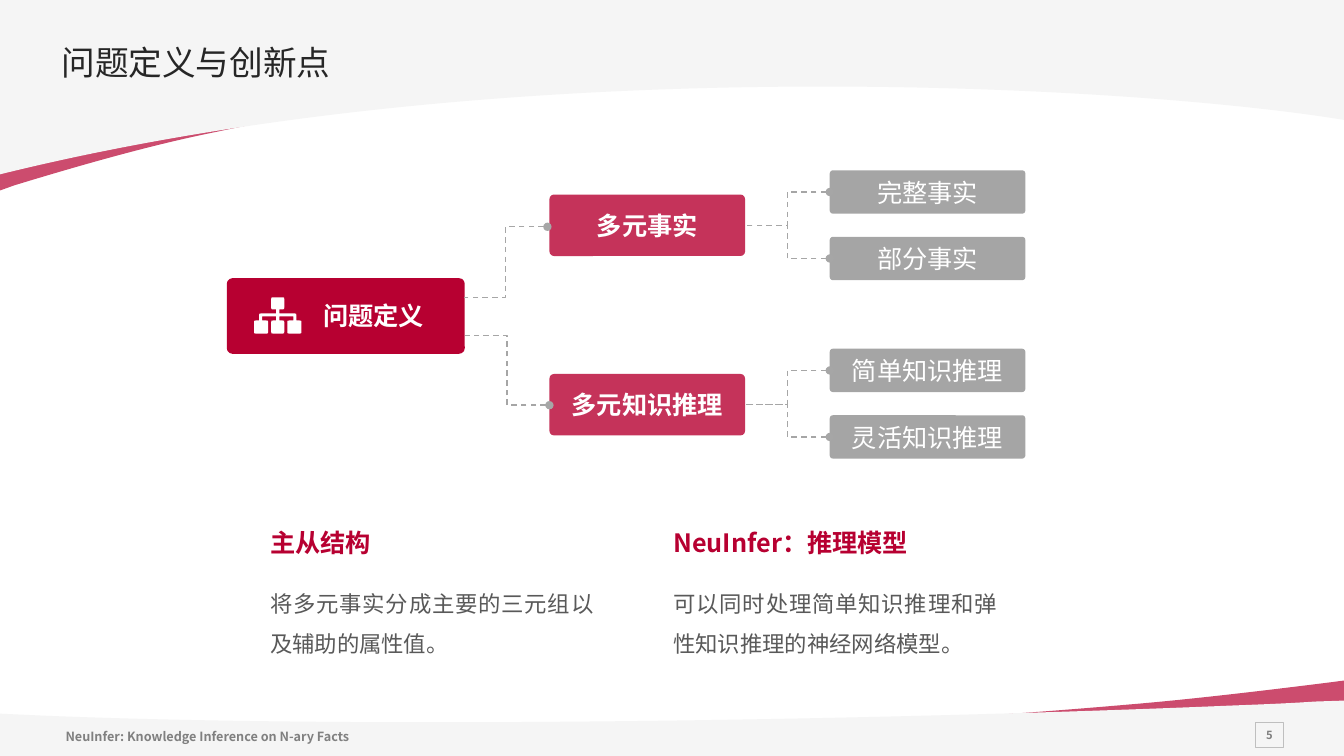
from dataclasses import dataclass, field
from math import dist

from lxml import etree
from pptx import Presentation
from pptx.dml.color import RGBColor
from pptx.enum.dml import MSO_LINE
from pptx.enum.shapes import MSO_CONNECTOR, MSO_SHAPE
from pptx.enum.text import MSO_ANCHOR, MSO_AUTO_SIZE, PP_ALIGN
from pptx.oxml.ns import qn
from pptx.util import Inches, Pt

RECTANGLE, ROUNDED = MSO_SHAPE.RECTANGLE, MSO_SHAPE.ROUNDED_RECTANGLE
ELBOW, DASH = MSO_CONNECTOR.ELBOW, MSO_LINE.DASH
TOP, MIDDLE = MSO_ANCHOR.TOP, MSO_ANCHOR.MIDDLE
LEFT, CENTER, JUSTIFY = PP_ALIGN.LEFT, PP_ALIGN.CENTER, PP_ALIGN.JUSTIFY
GROW = MSO_AUTO_SIZE.SHAPE_TO_FIT_TEXT

FONT = "Noto Sans CJK SC"
COLORS = {"red": "B70031", "gray": "808080", "band": "F5F5F5", "white": "FFFFFF",
          "title": "262626", "body": "595959", "line": "A6A6A6", "border": "BFBFBF"}

Point = tuple[float, float]


@dataclass
class TextStyle:
    size: float
    color: str
    bold: bool = False
    margins: tuple[float, float, float, float] = (0.1, 0.05, 0.1, 0.05)
    frame: dict = field(default_factory=dict)
    paragraph: dict = field(default_factory=dict)


@dataclass
class Box:
    text: str
    left: float
    top: float
    width: float
    height: float
    color: str = ""
    alpha: int = 100

    @property
    def middle(self) -> float:
        return self.top + self.height / 2


@dataclass
class Outline:
    color: str
    alpha: int
    start: Point
    steps: list  # one point is a straight side, three are a curve


LABEL_MARGINS = (0.2, 0.1, 0.2, 0.1)
CENTERED = {"frame": {"vertical_anchor": MIDDLE, "word_wrap": True},
            "paragraph": {"alignment": CENTER}}
FITTED = {"word_wrap": False, "auto_size": GROW}
STYLES = {
    "title": TextStyle(24, "title", margins=(0.08, 0.08, 0, 0.08),
                       paragraph={"line_spacing": 0.9}),
    "topic": TextStyle(18, "white", True, LABEL_MARGINS, **CENTERED),
    "leaf": TextStyle(18, "white", False, LABEL_MARGINS, **CENTERED),
    "heading": TextStyle(18, "red", True, frame=FITTED | {"vertical_anchor": MIDDLE},
                         paragraph={"line_spacing": Pt(15)}),
    "body": TextStyle(16, "body", paragraph={"alignment": JUSTIFY, "line_spacing": 1.5}),
    "footer": TextStyle(9, "gray", True, (0, 0.05, 0.1, 0.05), FITTED),
    "number": TextStyle(8, "gray", True, (0.08,) * 4, **CENTERED),
}

BANDS = [
    Outline("red", 70, (0, 1.89), [
        [(0, 0.22)], [(13.34, 0.22)], [(13.34, 0.91)], [(13.33, 0.91)],
        [(10.32, 0.06), (5.14, 0.67), (2.14, 1.31)],
        [(1.54, 1.43), (0.86, 1.62), (0.14, 1.84)]]),
    Outline("band", 100, (0, 0), [
        [(13.33, 0)], [(13.33, 1.19)], [(11.4, 0.87), (5.17, 0.45), (0, 1.73)]]),
    Outline("red", 70, (13.34, 6.75), [
        [(13.34, 7.44)], [(0, 7.44)], [(0, 7.15)], [(0.01, 7.16)],
        [(3.01, 7.5), (8.2, 7.25), (11.19, 6.99)],
        [(11.79, 6.94), (12.47, 6.86), (13.19, 6.77)]]),
    Outline("band", 100, (13.34, 6.95), [
        [(13.34, 7.5)], [(0, 7.5)], [(0, 7.08)], [(0.44, 7.1)],
        [(3.92, 7.24), (9.1, 7.13), (12.2, 7)],
        [(12.46, 6.99), (12.75, 6.98), (13.04, 6.96)]]),
]

ROOT = Box("", 2.25, 2.76, 2.36, 0.75, "red")
TOPICS = [Box(text, 5.45, top, 1.94, 0.61, "red", 80)
          for text, top in [("多元事实", 1.93), ("多元知识推理", 3.71)]]
ROOT_LINKS = [((5.43, 2.25), (4.6, 2.95)), ((5.45, 4.02), (4.61, 3.33))]
LEAVES = [[Box(text, 8.23, top + 0.66 * row, 1.94, 0.43, "gray", 70)
           for row, text in enumerate(texts)]
          for top, texts in [(1.69, ("完整事实", "部分事实")),
                             (3.46, ("简单知识推理", "灵活知识推理"))]]
NOTES = [(2.58, 1.21, "主从结构", "将多元事实分成主要的三元组以及辅助的属性值。"),
         (6.58, 2.67, "NeuInfer：推理模型", "可以同时处理简单知识推理和弹性知识推理的神经网络模型。")]

# Right half of the tree icon, as distances from its middle axis
ICON_AXIS = 2.755
ICON_HALF = [(0.065, 2.95), (0.065, 3.07), (0.015, 3.07), (0.015, 3.11), (0.185, 3.11),
             (0.185, 3.18), (0.235, 3.18), (0.235, 3.31), (0.095, 3.31), (0.095, 3.18),
             (0.155, 3.18), (0.155, 3.14), (0.015, 3.14), (0.015, 3.18), (0.065, 3.18),
             (0.065, 3.31)]


def paint(shape, color: str, alpha: int = 100) -> None:
    shape.shadow.inherit = False
    shape.line.fill.background()
    shape.fill.solid()
    shape.fill.fore_color.rgb = RGBColor.from_string(COLORS[color])
    if alpha < 100:
        color_element = shape.fill._xPr.find(qn("a:solidFill"))[0]
        etree.SubElement(color_element, qn("a:alpha"), val=str(alpha * 1000))


def write(shape, text: str, style: TextStyle) -> None:
    frame = shape.text_frame
    margins = zip(("left", "top", "right", "bottom"), style.margins)
    settings = {f"margin_{side}": Inches(value) for side, value in margins}
    settings |= {"word_wrap": True, "vertical_anchor": TOP} | style.frame
    paragraph = frame.paragraphs[0]
    run = paragraph.add_run()
    run.text = text
    font_settings = {"size": Pt(style.size), "bold": style.bold, "name": FONT}
    for target, values in ((frame, settings),
                           (paragraph, {"alignment": LEFT} | style.paragraph),
                           (run.font, font_settings)):
        for name, value in values.items():
            setattr(target, name, value)
    run.font.color.rgb = RGBColor.from_string(COLORS[style.color])
    etree.SubElement(run.font._element, qn("a:ea"), typeface=FONT)


def add_text(slide, box: Box, style: str) -> None:
    shape = slide.shapes.add_textbox(*map(Inches, (box.left, box.top, box.width, box.height)))
    write(shape, box.text, STYLES[style])


def add_box(slide, box: Box, style: str, preset=ROUNDED):
    shape = slide.shapes.add_shape(
        preset, *map(Inches, (box.left, box.top, box.width, box.height)))
    if preset == ROUNDED:
        shape.adjustments[0] = 0.073
    paint(shape, box.color or "white", box.alpha)
    if box.text:
        write(shape, box.text, STYLES[style])
    return shape


def add_outline(slide, outline: Outline) -> None:
    builder = slide.shapes.build_freeform(*map(Inches, outline.start), scale=1.0)
    builder.add_line_segments([tuple(map(Inches, step[-1])) for step in outline.steps])
    shape = builder.convert_to_shape()
    # Turn the sides that have control points into curves
    sides = list(shape._element.iter(qn("a:lnTo")))
    for side, step in zip(sides, outline.steps):
        if len(step) == 3:
            side.tag = qn("a:cubicBezTo")
            for index, (x, y) in enumerate(step[:2]):
                control = etree.Element(qn("a:pt"), x=str(Inches(x) - shape.left),
                                        y=str(Inches(y) - shape.top))
                side.insert(index, control)
    paint(shape, outline.color, outline.alpha)


def add_tree_icon(slide) -> None:
    corners = [(ICON_AXIS + x, y) for x, y in ICON_HALF]
    corners += [(ICON_AXIS - x, y) for x, y in reversed(ICON_HALF)]
    steps = []
    for index, corner in enumerate(corners):
        before, after = corners[index - 1], corners[(index + 1) % len(corners)]
        turn = ((corner[0] - before[0]) * (after[1] - corner[1])
                - (corner[1] - before[1]) * (after[0] - corner[0]))
        if turn < 0:
            steps.append([corner])
            continue
        start, end = [tuple(c + (s - c) * 0.02 / dist(corner, side)
                            for c, s in zip(corner, side)) for side in (before, after)]
        steps += [[start], [corner, corner, end]]
    add_outline(slide, Outline("white", 100, steps[0][0], steps[1:]))


def add_link(slide, start: Point, end: Point) -> None:
    connector = slide.shapes.add_connector(ELBOW, *map(Inches, start + end))
    connector.line.color.rgb = RGBColor.from_string(COLORS["line"])
    connector.line.width = Pt(1)
    connector.line.dash_style = DASH
    etree.SubElement(connector.line._ln, qn("a:headEnd"), type="oval")
    etree.SubElement(connector._element.spPr, qn("a:effectLst"))


def main() -> None:
    presentation = Presentation()
    presentation.slide_width, presentation.slide_height = Inches(13.33), Inches(7.5)
    slide = presentation.slides.add_slide(presentation.slide_layouts[6])

    # Background, footer and title
    for band in BANDS:
        add_outline(slide, band)
    add_text(slide, Box("NeuInfer: Knowledge Inference on N-ary Facts",
                        0.65, 7.18, 3.09, 0.25), "footer")
    number = add_box(slide, Box("5", 12.45, 7.17, 0.28, 0.25), "number", RECTANGLE)
    number.fill.background()
    number.line.color.rgb = RGBColor.from_string(COLORS["border"])
    number.line.width = Pt(0.75)
    add_text(slide, Box("问题定义与创新点", 0.53, 0.38, 12, 0.58), "title")

    # Tree of boxes
    add_box(slide, ROOT, "topic")
    add_text(slide, Box("问题定义", 3, 2.88, 1.41, 0.5), "topic")
    add_tree_icon(slide)
    for topic, leaves, root_link in zip(TOPICS, LEAVES, ROOT_LINKS):
        add_box(slide, topic, "topic")
        add_link(slide, *root_link)
        for leaf in leaves:
            add_box(slide, leaf, "leaf")
            add_link(slide, (leaf.left, leaf.middle), (topic.left + topic.width, topic.middle))

    # Explanations
    for left, width, heading, body in NOTES:
        add_text(slide, Box(body, left, 5.67, 3.41, 0.86), "body")
        add_text(slide, Box(heading, left, 5.27, width, 0.32), "heading")

    presentation.save("out.pptx")


if __name__ == "__main__":
    main()
